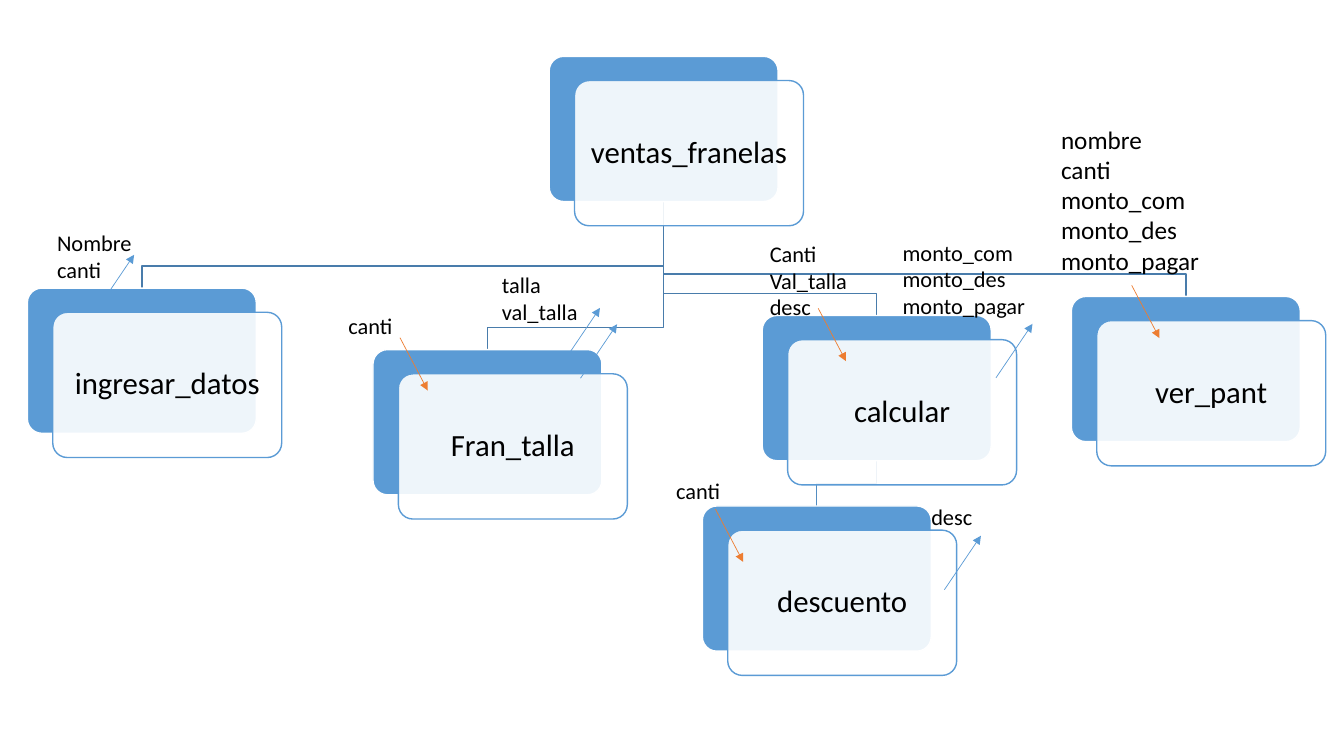
from lxml import etree
from pptx import Presentation
from pptx import util as u
from pptx.dml.color import RGBColor
from pptx.enum import shapes, text
from pptx.oxml.ns import qn

COLORS = {
    "blue": "5B9BD5",
    "orange": "ED7D31",
    "trunk": "497CAB",
    "branch": "538DC1",
    "white": "FFFFFF",
    "black": "000000",
}
CARD_WIDTH, CARD_HEIGHT = 5.77, 3.66
FRONT_DX, FRONT_DY = 0.64, 0.61
ELBOW_RISE = 0.56

modules_at = {
    "ventas_franelas": (13.84, 1.42),
    "ingresar_datos": (0.69, 7.26),
    "Fran_talla": (9.4, 8.81),
    "calcular": (19.21, 7.95),
    "descuento": (17.7, 12.75),
    "ver_pant": (27, 7.47),
}
calls = [
    ("ventas_franelas", "ver_pant", "trunk"),
    ("calcular", "descuento", "branch"),
    ("ventas_franelas", "calcular", "trunk"),
    ("ventas_franelas", "Fran_talla", "trunk"),
    ("ventas_franelas", "ingresar_datos", "trunk"),
]
labels = [
    (1.19, 5.66, 4.72, 1.63, 16, "Nombre\ncanti"),
    (12.4, 6.71, 5.69, 1.63, 16, "talla\nval_talla"),
    (8.53, 7.75, 4.72, 0.94, 16, "canti"),
    (19.15, 5.92, 4.72, 2.31, 16, "Canti\nVal_talla\ndesc"),
    (22.5, 5.89, 5.69, 2.31, 16, "monto_com\nmonto_des\nmonto_pagar"),
    (16.79, 11.89, 4.72, 0.94, 16, "canti"),
    (23.22, 12.55, 4.72, 0.94, 16, "desc"),
    (26.49, 3, 6.76, 4.11, 18, "nombre\ncanti\nmonto_com\nmonto_des monto_pagar"),
]
arrow_steps = {"blue": (0.92, -1.36), "orange": (0.7, 1.33)}
arrow_starts = [
    ("blue", 2.46, 7.78),
    ("orange", 10.08, 8.51),
    ("blue", 14.2, 9.12),
    ("orange", 20.62, 7.77),
    ("blue", 25.1, 9.52),
    ("blue", 14.63, 9.53),
    ("orange", 18.03, 12.83),
    ("blue", 23.8, 14.86),
    ("orange", 28.52, 7.19),
]


def color(name):
    return RGBColor.from_string(COLORS[name])


def style_text(frame, size):
    for paragraph in frame.paragraphs:
        for run in paragraph.runs:
            run.font.name = "Calibri"
            run.font.size = u.Pt(size)
            run.font.color.rgb = color("black")


presentation = Presentation()
presentation.slide_width = u.Cm(33.87)
presentation.slide_height = u.Cm(19.05)
slide = presentation.slides.add_slide(presentation.slide_layouts[6])

for parent, child, line_color in calls:
    start_x = modules_at[parent][0] + CARD_WIDTH / 2
    start_y = modules_at[parent][1] + CARD_HEIGHT
    end_x = modules_at[child][0] + CARD_WIDTH / 2
    end_y = modules_at[child][1]
    bend_y = end_y - ELBOW_RISE
    builder = slide.shapes.build_freeform(u.Cm(start_x), u.Cm(start_y))
    corners = [(start_x, bend_y), (end_x, bend_y), (end_x, end_y)]
    builder.add_line_segments([(u.Cm(x), u.Cm(y)) for x, y in corners], close=False)
    elbow = builder.convert_to_shape()
    elbow.shadow.inherit = False
    elbow.fill.background()
    elbow.line.color.rgb = color(line_color)
    elbow.line.width = u.Pt(1)

for name, (left, top) in modules_at.items():
    for dx, dy, fill, line in [(0, 0, "blue", "white"), (FRONT_DX, FRONT_DY, "white", "blue")]:
        card = slide.shapes.add_shape(
            shapes.MSO_SHAPE.ROUNDED_RECTANGLE,
            u.Cm(left + dx), u.Cm(top + dy), u.Cm(CARD_WIDTH), u.Cm(CARD_HEIGHT))
        card.adjustments[0] = 0.1
        card.shadow.inherit = False
        card.fill.solid()
        card.fill.fore_color.rgb = color(fill)
        card.line.color.rgb = color(line)
        card.line.width = u.Pt(1)
    front_color = card.fill._xPr.find(qn("a:solidFill"))[0]
    etree.SubElement(front_color, qn("a:alpha"), val="90000")
    frame = card.text_frame
    frame.margin_left = frame.margin_right = u.Cm(0.1)
    frame.margin_top = frame.margin_bottom = u.Cm(0.33)
    frame.word_wrap = True
    frame.vertical_anchor = text.MSO_ANCHOR.MIDDLE
    frame.text = name
    frame.paragraphs[0].alignment = text.PP_ALIGN.CENTER
    frame.paragraphs[0].line_spacing = 0.9
    style_text(frame, 22)

for left, top, width, height, size, wording in labels:
    label = slide.shapes.add_textbox(u.Cm(left), u.Cm(top), u.Cm(width), u.Cm(height))
    label.text_frame.word_wrap = True
    label.text_frame.text = wording
    style_text(label.text_frame, size)

for kind, x, y in arrow_starts:
    dx, dy = arrow_steps[kind]
    arrow = slide.shapes.add_connector(
        shapes.MSO_CONNECTOR.STRAIGHT, u.Cm(x), u.Cm(y), u.Cm(x + dx), u.Cm(y + dy))
    arrow.line.color.rgb = color(kind)
    arrow.line.width = u.Pt(0.5)
    etree.SubElement(arrow.line._get_or_add_ln(), qn("a:tailEnd"), type="triangle")
    etree.SubElement(arrow._element.spPr, qn("a:effectLst"))

presentation.save("out.pptx")
